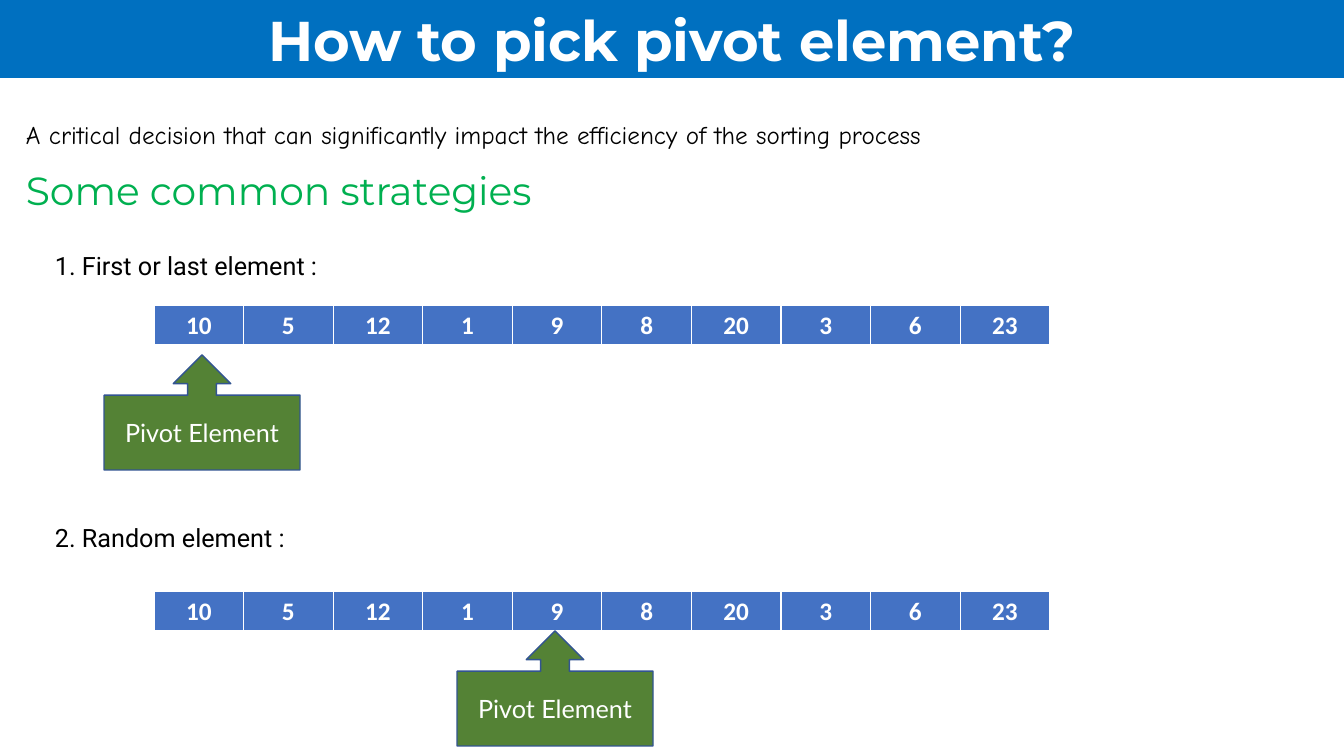
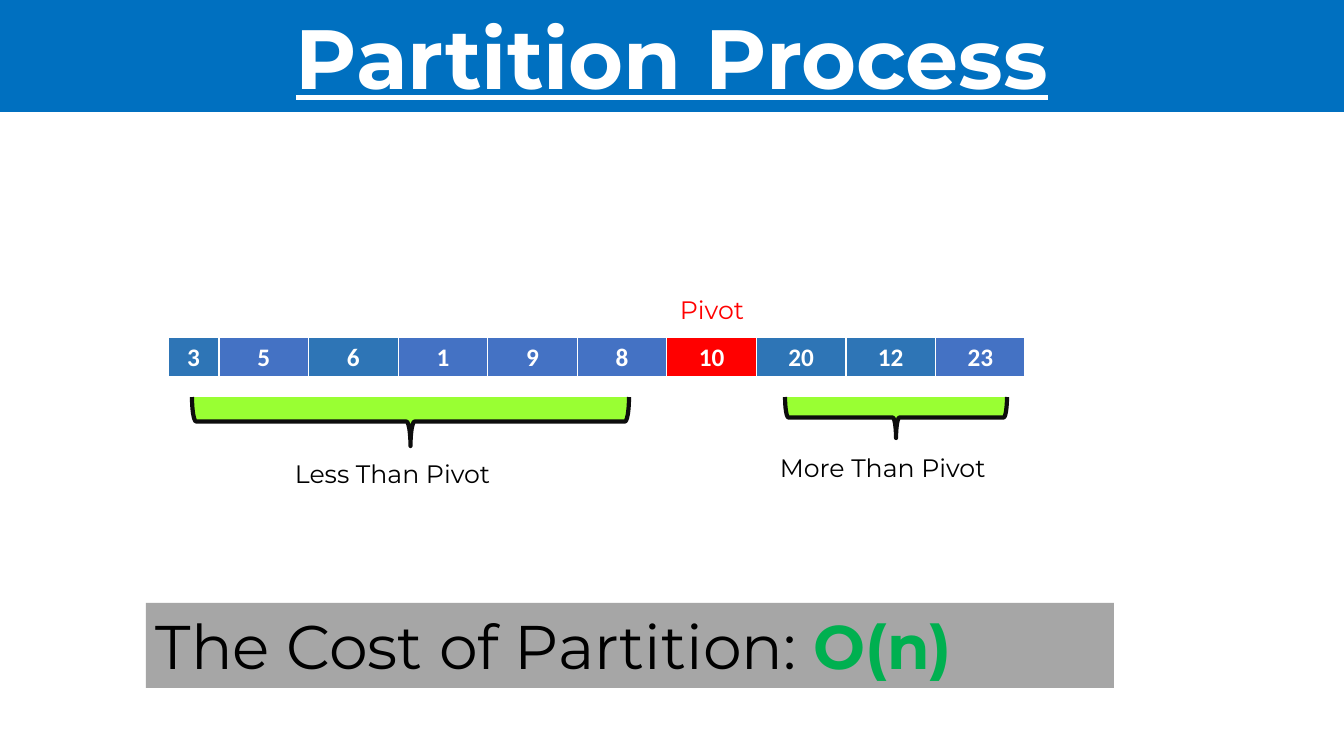
from dataclasses import dataclass

from lxml import etree
from pptx import Presentation
from pptx.dml.color import RGBColor
from pptx.enum.shapes import MSO_SHAPE
from pptx.enum.text import MSO_ANCHOR, MSO_AUTO_SIZE, PP_ALIGN
from pptx.oxml.ns import qn
from pptx.util import Emu, Pt

LEFT, CENTER = PP_ALIGN.LEFT, PP_ALIGN.CENTER
TOP, MIDDLE = MSO_ANCHOR.TOP, MSO_ANCHOR.MIDDLE
RECTANGLE, BRACE = MSO_SHAPE.RECTANGLE, MSO_SHAPE.RIGHT_BRACE
CALLOUT = MSO_SHAPE.UP_ARROW_CALLOUT
NO_FIT = MSO_AUTO_SIZE.NONE
TITLE_ONLY = 5


@dataclass(frozen=True)
class Theme:
    band: str = "0070C0"
    white: str = "FFFFFF"
    black: str = "000000"
    green: str = "00B050"
    red: str = "FF0000"
    cell: str = "4472C4"
    moved: str = "2E75B6"
    callout: str = "548235"
    callout_line: str = "325491"
    brace: str = "99FF33"
    brace_line: str = "0D0D0D"
    panel: str = "A6A6A6"
    heading_font: str = "Montserrat"
    note_font: str = "Comic Neue"
    item_font: str = "Roboto"
    callout_font: str = "Lato"
    cell_font: str = "Calibri"
    body_size: int = 18
    heading_size: int = 28
    cost_size: int = 44


THEME = Theme()

# Lengths are in px
PX_PER_INCH = 100.8
PAGE_WIDTH, PAGE_HEIGHT = 1344, 756
ROW_WIDTH, ROW_HEIGHT = 896, 41
CALLOUT_SIZE = (196, 115)
LABEL_HEIGHT = 40

VALUES = [10, 5, 12, 1, 9, 8, 20, 3, 6, 23]
COLUMN = ROW_WIDTH / len(VALUES)

PICK_TITLE = "How to pick pivot element?"
PICK_NOTE = "A critical decision that can significantly impact the efficiency of the sorting process"
PICK_HEADING = "Some common strategies"
# label, label top, array top, callout left, callout top
STRATEGIES = [
    ("1. First or last element :", 245, 305, 104, 355),
    ("2. Random element :", 517, 591, 457, 631),
]

PARTITION_TITLE = "Partition Process"
PARTITIONED = [3, 5, 6, 1, 9, 8, 10, 20, 12, 23]
PARTITION_FILLS = {0: THEME.moved, 2: THEME.moved, 6: THEME.red,
                   7: THEME.moved, 8: THEME.moved}
FIRST_COLUMN = 51
# left, top, width, depth
BRACES = [(192, 397, 437, 49), (785, 397, 222, 41)]
# text, left, top, width, colour
PARTITION_LABELS = [
    ("Less Than Pivot", 285, 453, 285, THEME.black),
    ("More Than Pivot", 770, 447, 285, THEME.black),
    ("Pivot", 670, 289, 100, THEME.red),
]


def px(length):
    return Emu(round(length * 914400 / PX_PER_INCH))


def frame(*lengths):
    return [px(length) for length in lengths]


def rgb(colour):
    return RGBColor.from_string(colour)


def fill_with(target, colour):
    target.fill.solid()
    target.fill.fore_color.rgb = rgb(colour)


def add_span(para, text, font, size, colour, bold=False, underline=False):
    span = para.add_run()
    span.text = text
    span.font.name = font
    span.font.size = Pt(size)
    span.font.color.rgb = rgb(colour)
    span.font.bold = bold
    span.font.underline = underline


def start_text(box, align=LEFT, anchor=TOP):
    """Set up the text frame of a box and return its first paragraph."""
    text = box.text_frame
    text.word_wrap = True
    text.auto_size = NO_FIT
    text.vertical_anchor = anchor
    para = text.paragraphs[0]
    para.alignment = align
    return para


def add_page(deck, title, height, size, underline=False):
    page = deck.slides.add_slide(deck.slide_layouts[TITLE_ONLY])
    band = page.shapes.title
    band.left, band.top, band.width, band.height = frame(0, 0, PAGE_WIDTH, height)
    fill_with(band, THEME.band)
    add_span(start_text(band, CENTER), title, THEME.heading_font, size,
             THEME.white, True, underline)
    return page


def add_label(page, text, box_px, font, colour=THEME.black, size=THEME.body_size):
    box = page.shapes.add_textbox(*frame(*box_px))
    add_span(start_text(box), text, font, size, colour)


def add_block(page, kind, box_px, fill, line=None, weight=1):
    block = page.shapes.add_shape(kind, *frame(*box_px))
    block.shadow.inherit = False
    fill_with(block, fill)
    if line:
        block.line.color.rgb = rgb(line)
        block.line.width = Pt(weight)
    else:
        block.line.fill.background()
    return block


def add_borders(cell):
    properties = cell._tc.get_or_add_tcPr()
    for side, weight in (("L", 1), ("R", 1), ("T", 1), ("B", 3)):
        line = etree.SubElement(properties, qn(f"a:ln{side}"), w=str(Pt(weight)))
        solid = etree.SubElement(line, qn("a:solidFill"))
        etree.SubElement(solid, qn("a:srgbClr"), val=THEME.white)


def add_array(page, values, left, top, first_column=COLUMN, fills=None):
    """Draw values as a one-row table; fills maps a column to its own colour."""
    widths = [first_column] + [COLUMN] * (len(values) - 1)
    table = page.shapes.add_table(
        1, len(values), *frame(left, top, sum(widths), ROW_HEIGHT)).table
    table.rows[0].height = px(ROW_HEIGHT)
    for index, (value, width) in enumerate(zip(values, widths)):
        table.columns[index].width = px(width)
        cell = table.cell(0, index)
        add_borders(cell)
        fill_with(cell, (fills or {}).get(index, THEME.cell))
        para = cell.text_frame.paragraphs[0]
        para.alignment = CENTER
        add_span(para, str(value), THEME.cell_font, THEME.body_size, THEME.white, True)


def add_brace(page, left, top, width, depth):
    """Draw a brace that opens upward, by turning a right brace about its centre."""
    turn = (width - depth) / 2
    brace = add_block(page, BRACE, (left + turn, top - turn, depth, width),
                      THEME.brace, THEME.brace_line, 3)
    brace.rotation = 90


def build_pick_page(deck):
    page = add_page(deck, PICK_TITLE, 78, 40)
    add_label(page, PICK_NOTE, (16, 114, 1312, LABEL_HEIGHT), THEME.note_font)
    add_label(page, PICK_HEADING, (16, 161, 612, 57), THEME.heading_font,
              THEME.green, THEME.heading_size)
    for label, label_top, array_top, callout_left, callout_top in STRATEGIES:
        add_label(page, label, (45, label_top, 396, LABEL_HEIGHT), THEME.item_font)
        add_array(page, VALUES, 154, array_top)
        callout = add_block(page, CALLOUT, (callout_left, callout_top, *CALLOUT_SIZE),
                            THEME.callout, THEME.callout_line)
        add_span(start_text(callout, CENTER, MIDDLE), "Pivot Element",
                 THEME.callout_font, THEME.body_size, THEME.white)


def build_partition_page(deck):
    page = add_page(deck, PARTITION_TITLE, 112, 60, underline=True)
    add_array(page, PARTITIONED, 168, 337, FIRST_COLUMN, PARTITION_FILLS)
    for brace in BRACES:
        add_brace(page, *brace)
    for text, left, top, width, colour in PARTITION_LABELS:
        add_label(page, text, (left, top, width, LABEL_HEIGHT),
                  THEME.heading_font, colour)
    panel = add_block(page, RECTANGLE, (146, 603, 968, 85), THEME.panel)
    para = start_text(panel)
    add_span(para, "The Cost of Partition: ", THEME.heading_font,
             THEME.cost_size, THEME.black)
    add_span(para, "O(n)", THEME.heading_font, THEME.cost_size, THEME.green, True)


def main():
    deck = Presentation()
    deck.slide_width, deck.slide_height = frame(PAGE_WIDTH, PAGE_HEIGHT)
    build_pick_page(deck)
    build_partition_page(deck)
    deck.save("out.pptx")


if __name__ == "__main__":
    main()
